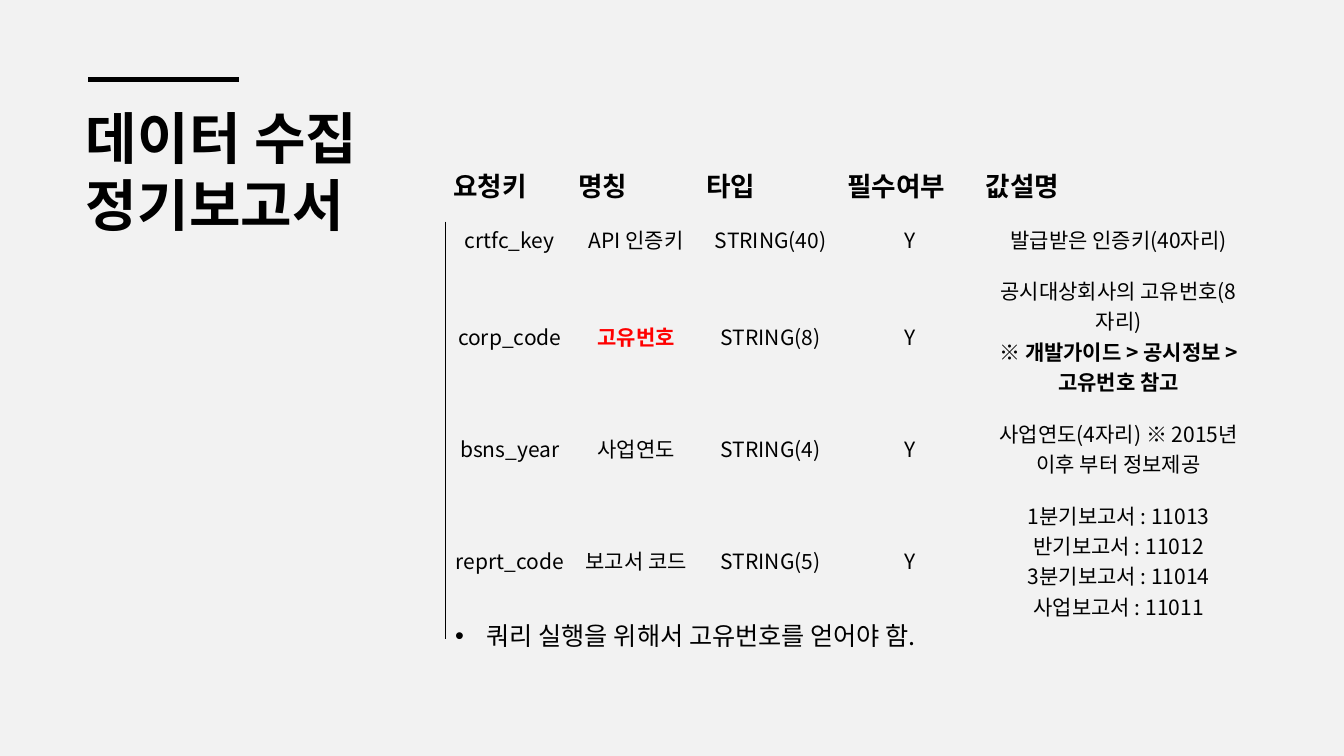
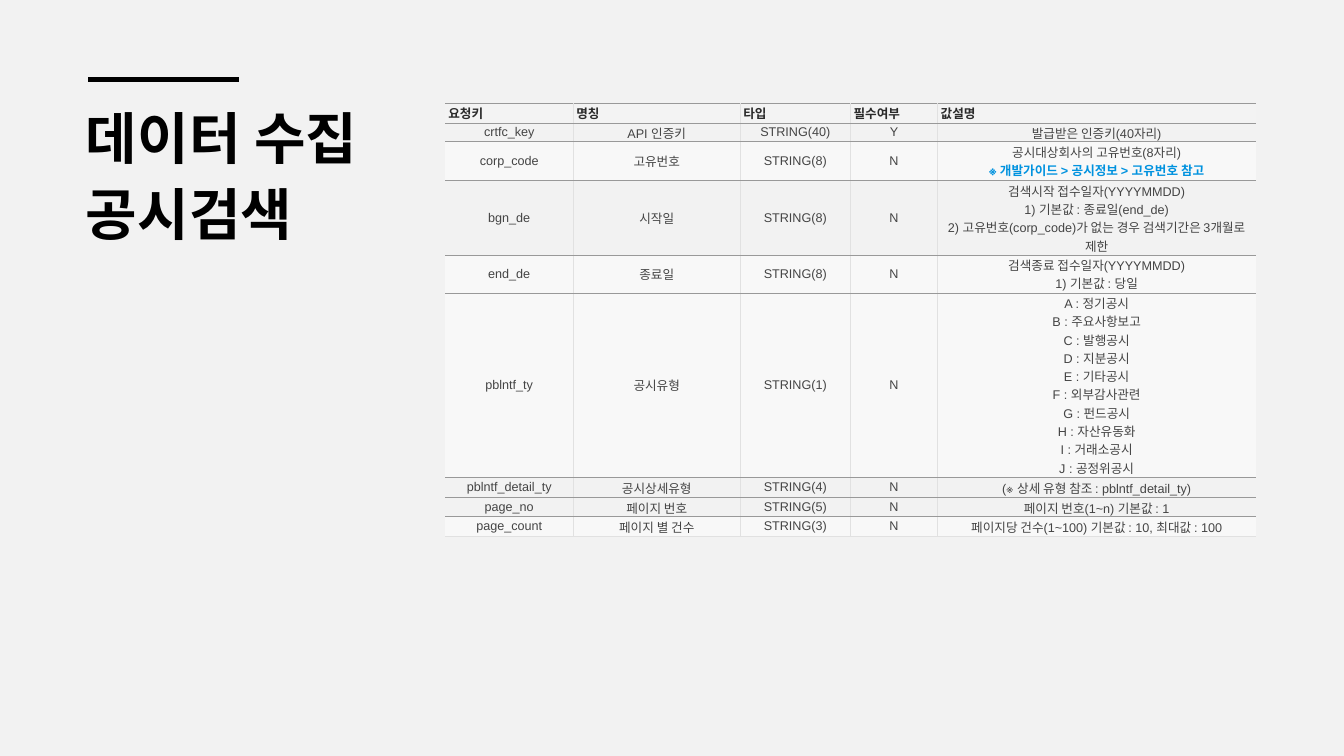
from copy import deepcopy

from lxml import etree
from pptx import Presentation
from pptx import util as u
from pptx.dml.color import RGBColor
from pptx.enum import shapes, text
from pptx.oxml import ns

PX = 9525
COLORS = {
    "page": "F2F2F2", "ink": "000000", "alert": "FF0000", "link": "0092DF",
    "heading": "2A2A2A", "body": "444444", "header_fill": "F3F3F3",
    "stripe": "F8F8F8", "rule": "999999", "divider": "E1E1E1",
}
KOREAN = "Noto Sans CJK KR"
PLAIN_TABLE = "{2D5ABB26-0587-4C30-8999-92F81FD0307C}"
MIDDLE = text.MSO_ANCHOR.MIDDLE
BOTTOM = text.MSO_ANCHOR.BOTTOM
HEADER = ("요청키", "명칭", "타입", "필수여부", "값설명")
KEY_VALUE = "발급받은 인증키(40자리)"
CORP_VALUE = "공시대상회사의 고유번호(8자리)\n※ 개발가이드 > 공시정보 > 고유번호 참고"

REPORT_ROWS = [
    HEADER,
    ("crtfc_key", "API 인증키", "STRING(40)", "Y", KEY_VALUE),
    ("corp_code", "고유번호", "STRING(8)", "Y", CORP_VALUE),
    ("bsns_year", "사업연도", "STRING(4)", "Y", "사업연도(4자리) ※ 2015년 이후 부터 정보제공"),
    ("reprt_code", "보고서 코드", "STRING(5)", "Y",
     "1분기보고서 : 11013\n반기보고서 : 11012\n3분기보고서 : 11014\n사업보고서 : 11011"),
]
SEARCH_ROWS = [
    HEADER,
    ("crtfc_key", "API 인증키", "STRING(40)", "Y", KEY_VALUE),
    ("corp_code", "고유번호", "STRING(8)", "N", CORP_VALUE),
    ("bgn_de", "시작일", "STRING(8)", "N",
     "검색시작 접수일자(YYYYMMDD)\n1) 기본값 : 종료일(end_de)\n"
     "2) 고유번호(corp_code)가 없는 경우 검색기간은 3개월로 제한"),
    ("end_de", "종료일", "STRING(8)", "N", "검색종료 접수일자(YYYYMMDD)\n1) 기본값 : 당일"),
    ("pblntf_ty", "공시유형", "STRING(1)", "N",
     "A : 정기공시\nB : 주요사항보고\nC : 발행공시\nD : 지분공시\nE : 기타공시\n"
     "F : 외부감사관련\nG : 펀드공시\nH : 자산유동화\nI : 거래소공시\nJ : 공정위공시"),
    ("pblntf_detail_ty", "공시상세유형", "STRING(4)", "N", "(※ 상세 유형 참조 : pblntf_detail_ty)"),
    ("page_no", "페이지 번호", "STRING(5)", "N", "페이지 번호(1~n) 기본값 : 1"),
    ("page_count", "페이지 별 건수", "STRING(3)", "N",
     "페이지당 건수(1~100) 기본값 : 10, 최대값 : 100"),
]


def report_look(row, col, last_row, last_col):
    borders = {"L": ("ink", 0.75)} if row and col == 0 else {}
    fill = "page" if row in (2, 4) else None
    return borders, fill


def search_look(row, col, last_row, last_col):
    borders = {}
    if col > 0:
        borders["L"] = ("divider", 0.5)
    if col < last_col:
        borders["R"] = ("divider", 0.5)
    borders["T"] = ("rule", 0.5)
    borders["B"] = ("divider" if row == last_row else "rule", 0.5)
    fill = "header_fill" if row == 0 else "stripe" if row in (2, 4, 5, 8) else None
    return borders, fill


class Deck:
    """Holds the shared style and the slide being built."""

    def __init__(self):
        self.deck = Presentation()
        self.deck.slide_width, self.deck.slide_height = self.px(1280, 720)
        self.page = None

    def px(self, *lengths):
        return [u.Emu(length * PX) for length in lengths]

    def color(self, name):
        return RGBColor.from_string(COLORS[name])

    def add_page(self, title_lines):
        self.page = self.deck.slides.add_slide(self.deck.slide_layouts[6])
        fill = self.page.background.fill
        fill.solid()
        fill.fore_color.rgb = self.color("page")
        self.title(title_lines)
        self.bar(84, 76, 228)

    def style(self, para, size, color="ink", bold=False, font=KOREAN):
        for span in para.runs:
            span.font.size = u.Pt(size)
            span.font.name = font
            span.font.bold = bold
            span.font.color.rgb = self.color(color)
            props = span.font._element
            props.set("kern", "0")
            etree.SubElement(props, ns.qn("a:ea")).set("typeface", KOREAN)
        for line_break in para._p.findall(ns.qn("a:br")):
            line_break.append(deepcopy(para.runs[0].font._element))

    def box(self, left, top, width, height, wrap=True):
        frame = self.page.shapes.add_textbox(*self.px(left, top, width, height)).text_frame
        frame.word_wrap = wrap
        return frame

    def title(self, lines):
        frame = self.box(72, 94, 323, 411)
        frame.text = lines
        for para in frame.paragraphs:
            para.space_after = u.Pt(6)
            self.style(para, 40, bold=True)
            for span in para.runs:
                span.font._element.set("spc", "30")

    def bar(self, left, top, right):
        line = self.page.shapes.add_connector(
            shapes.MSO_CONNECTOR.STRAIGHT, *self.px(left, top, right, top))
        line.line.color.rgb = self.color("ink")
        line.line.width = u.Pt(3.5)
        etree.SubElement(line._element.spPr, ns.qn("a:effectLst"))

    def bullet(self, words, left, top, width, height, indent):
        frame = self.box(left, top, width, height, wrap=False)
        frame.auto_size = text.MSO_AUTO_SIZE.SHAPE_TO_FIT_TEXT
        para = frame.paragraphs[0]
        para.text = words
        para.space_after = u.Pt(6)
        props = para._p.get_or_add_pPr()
        props.set("marL", str(indent * PX))
        props.set("indent", str(-indent * PX))
        etree.SubElement(props, ns.qn("a:buFont")).set("typeface", "Arial")
        etree.SubElement(props, ns.qn("a:buChar")).set("char", "•")
        self.style(para, 18)

    def border(self, cell, side, color, width):
        line = etree.SubElement(cell._tc.get_or_add_tcPr(), ns.qn("a:ln" + side))
        line.set("w", str(u.Pt(width)))
        fill = etree.SubElement(line, ns.qn("a:solidFill"))
        etree.SubElement(fill, ns.qn("a:srgbClr")).set("val", COLORS[color])

    def table(self, rows, left, top, widths, heights, look, margins,
              header, body, header_anchor, accents):
        frame = self.page.shapes.add_table(
            len(rows), len(widths), *self.px(left, top, sum(widths), sum(heights)))
        table = frame.table
        table._tbl.tblPr.find(ns.qn("a:tableStyleId")).text = PLAIN_TABLE
        table.first_row = table.horz_banding = False
        for column, width in zip(table.columns, self.px(*widths)):
            column.width = width
        for line, height in zip(table.rows, self.px(*heights)):
            line.height = height
        for row, values in enumerate(rows):
            for col, words in enumerate(values):
                cell = table.cell(row, col)
                (cell.margin_left, cell.margin_top,
                 cell.margin_right, cell.margin_bottom) = self.px(*margins)
                cell.vertical_anchor = MIDDLE if row else header_anchor
                para = cell.text_frame.paragraphs[0]
                para.text = words
                para.alignment = text.PP_ALIGN.CENTER if row else text.PP_ALIGN.LEFT
                self.style(para, **(body if row else header))
                if (row, col) in accents:
                    accent = para.runs[-1].font
                    accent.bold = True
                    accent.color.rgb = self.color(accents[row, col])
                borders, fill = look(row, col, len(rows) - 1, len(widths) - 1)
                for side, (color, width) in borders.items():
                    self.border(cell, side, color, width)
                if fill:
                    cell.fill.solid()
                    cell.fill.fore_color.rgb = self.color(fill)
                else:
                    cell.fill.background()


def main():
    deck = Deck()

    deck.add_page("데이터 수집 정기보고서")
    deck.table(REPORT_ROWS, 424, 155, (119, 122, 134, 132, 265), (56, 48, 136, 78, 136),
               report_look, (8, 2, 4, 16),
               {"size": 19, "bold": True}, {"size": 15}, BOTTOM,
               {(2, 1): "alert", (2, 4): "ink"})
    deck.bullet("쿼리 실행을 위해서 고유번호를 얻어야 함.", 424, 586, 503, 38, 30)

    deck.add_page("데이터 수집\n공시검색")
    deck.table(SEARCH_ROWS, 424, 98, (122, 159, 105, 83, 303),
               (19, 18, 37, 71, 36, 176, 19, 18, 19),
               search_look, (3, 1, 3, 1),
               {"size": 9, "color": "heading", "bold": True, "font": "Arial"},
               {"size": 9, "color": "body", "font": "Arial"}, MIDDLE,
               {(2, 4): "link"})

    deck.deck.save("out.pptx")


if __name__ == "__main__":
    main()
